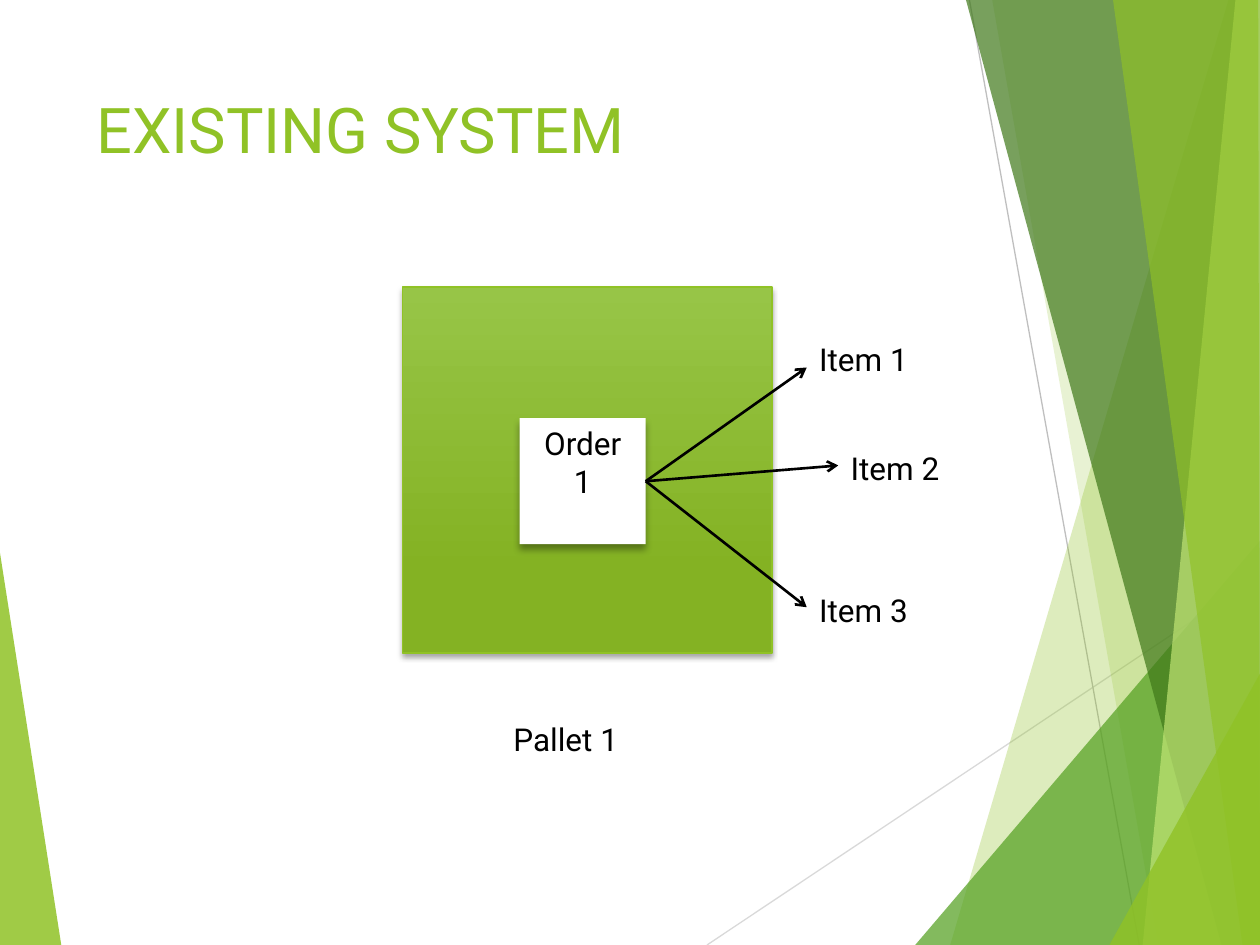
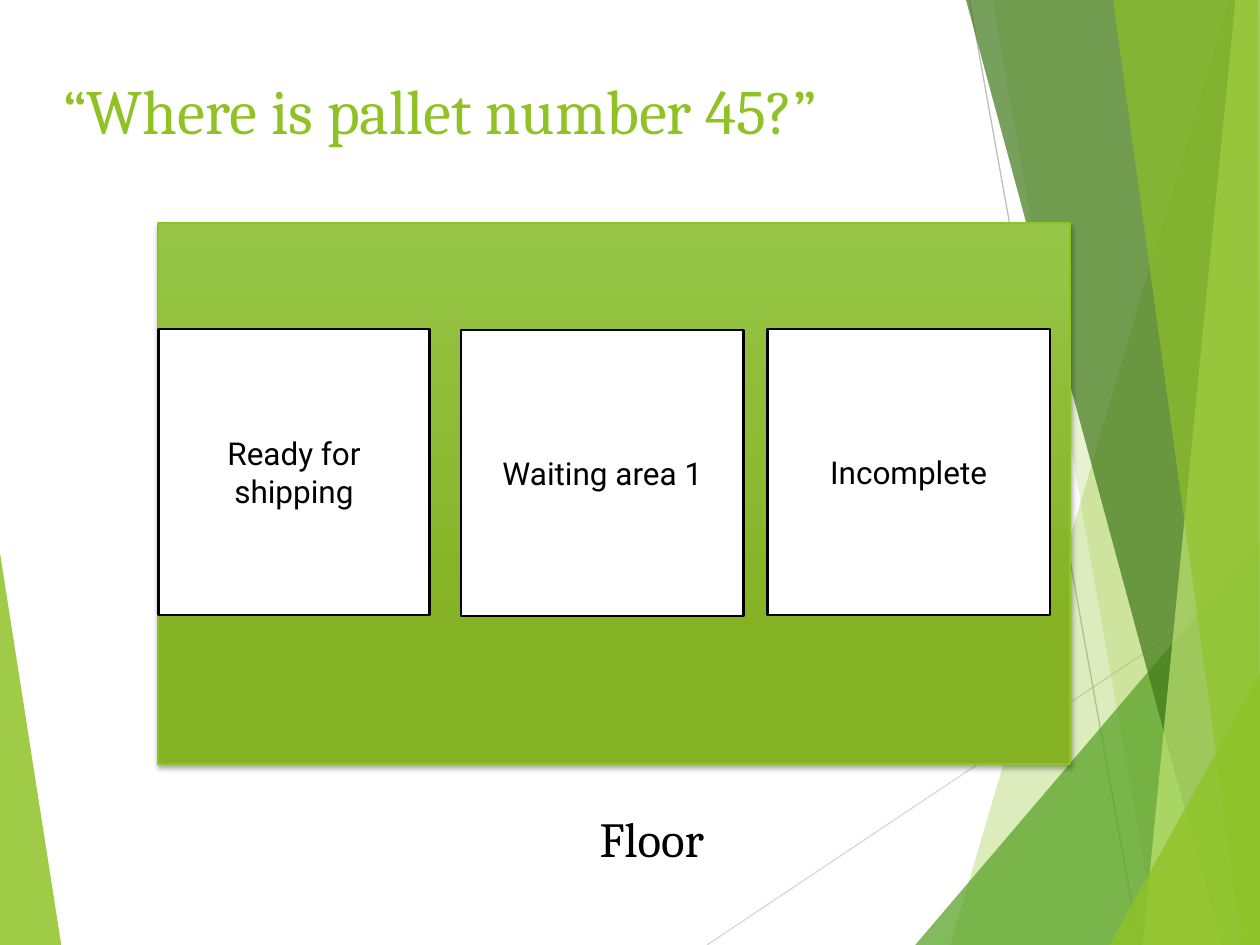
from dataclasses import dataclass

from lxml.etree import SubElement
from pptx import Presentation
from pptx.dml.color import RGBColor
from pptx.enum.shapes import MSO_CONNECTOR, MSO_SHAPE
from pptx.enum.text import MSO_ANCHOR, PP_ALIGN
from pptx.oxml.ns import qn
from pptx.util import Pt


@dataclass(frozen=True)
class Theme:
    lime: str = "90C226"
    green: str = "54A021"
    forest: str = "3F7819"
    pale: str = "C0E474"
    top: str = "97C547"
    base: str = "84B223"
    black: str = "000000"
    white: str = "FFFFFF"
    silver: str = "D9D9D9"
    gray: str = "BFBFBF"
    sans: str = "Roboto"
    serif: str = "Cambria"
    title: int = 36
    large: int = 28
    body: int = 18


THEME = Theme()
WIDE, HIGH = 720, 540

# Background facets: colour, opacity in percent, corners
FACETS = [
    (THEME.lime, 85, [(0, 316), (35, HIGH), (0, HIGH)]),
    (THEME.lime, 30, [(702, 0), (543, HIGH), (WIDE, HIGH), (WIDE, 0)]),
    (THEME.lime, 20, [(567, 0), (662, HIGH), (WIDE, HIGH), (WIDE, 0)]),
    (THEME.green, 72, [(523, HIGH), (WIDE, 309), (WIDE, HIGH)]),
    (THEME.forest, 70, [(552, 0), (698, HIGH), (WIDE, HIGH), (WIDE, 0)]),
    (THEME.pale, 70, [(706, 0), (653, HIGH), (WIDE, HIGH), (WIDE, 0)]),
    (THEME.lime, 65, [(636, 0), (710, HIGH), (WIDE, HIGH), (719, 0)]),
    (THEME.lime, 80, [(634, HIGH), (WIDE, 385), (WIDE, HIGH)]),
]


def color(code):
    return RGBColor.from_string(code)


class Deck:
    def __init__(self, theme):
        self.theme = theme
        self.file = Presentation()
        self.file.slide_width, self.file.slide_height = Pt(WIDE), Pt(HIGH)
        self.slide = None

    def start(self):
        """Add a slide with the shared background."""
        self.slide = self.file.slides.add_slide(self.file.slide_layouts[6])
        self.facet(*FACETS[0])
        self.line((404, HIGH), (WIDE, 329), self.theme.silver, 0.75)
        self.line((554, 0), (651, HIGH), self.theme.gray, 0.75)
        for facet in FACETS[1:]:
            self.facet(*facet)

    def facet(self, code, alpha, points):
        first, *rest = [(Pt(x), Pt(y)) for x, y in points]
        pen = self.slide.shapes.build_freeform(*first)
        pen.add_line_segments(rest)
        shape = pen.convert_to_shape()
        shape.shadow.inherit = False
        shape.fill.solid()
        shape.fill.fore_color.rgb = color(code)
        shape.line.fill.background()
        tint = shape.element.spPr.find(qn("a:solidFill")).find(qn("a:srgbClr"))
        SubElement(tint, qn("a:alpha"), val=str(alpha * 1000))

    def line(self, start, end, code, width):
        link = self.slide.shapes.add_connector(
            MSO_CONNECTOR.STRAIGHT, *map(Pt, start + end))
        link.line.color.rgb = color(code)
        link.line.width = Pt(width)
        SubElement(link.element.spPr, qn("a:effectLst"))
        return link

    def arrow(self, box, end):
        """Draw an arrow from the middle of the box's right side."""
        link = self.line(end, end, self.theme.black, 1.5)
        link.begin_connect(box, 3)
        SubElement(link.element.spPr.find(qn("a:ln")), qn("a:tailEnd"), type="arrow")

    def box(self, left, top, width, height, edge=None, weight=1.5):
        shape = self.slide.shapes.add_shape(
            MSO_SHAPE.RECTANGLE, *map(Pt, (left, top, width, height)))
        shape.shadow.inherit = False
        shape.fill.solid()
        shape.fill.fore_color.rgb = color(self.theme.white)
        if edge:
            shape.line.color.rgb = color(edge)
            shape.line.width = Pt(weight)
        else:
            shape.line.fill.background()
        return shape

    def panel(self, *place):
        """Add a green gradient box with a shadow."""
        shape = self.box(*place, edge=self.theme.lime, weight=1)
        shape.fill.gradient()
        shape.fill.gradient_angle = 270
        stops = zip(shape.fill.gradient_stops, (0, 0.78),
                    (self.theme.top, self.theme.base))
        for stop, spot, code in stops:
            stop.position = spot
            stop.color.rgb = color(code)
        self.shade(shape, 3, 2)

    def shade(self, shape, blur, drop):
        """Cast a soft shadow straight down."""
        effects = shape.element.spPr.find(qn("a:effectLst"))
        cast = SubElement(effects, qn("a:outerShdw"), blurRad=str(Pt(blur)),
                          dist=str(Pt(drop)), dir="5400000", rotWithShape="0")
        tint = SubElement(cast, qn("a:srgbClr"), val=self.theme.black)
        SubElement(tint, qn("a:alpha"), val="35000")

    def fill(self, shape, text, size=THEME.body, font=THEME.sans,
             code=THEME.black, align=PP_ALIGN.CENTER, anchor=MSO_ANCHOR.MIDDLE):
        """Put styled text into a shape."""
        frame = shape.text_frame
        frame.text = text
        frame.word_wrap = True
        frame.vertical_anchor = anchor
        para = frame.paragraphs[0]
        para.alignment = align
        for run in para.runs:
            run.font.size = Pt(size)
            run.font.name = font
            run.font.color.rgb = color(code)

    def label(self, text, place, **style):
        shape = self.slide.shapes.add_textbox(*map(Pt, place))
        self.fill(shape, text, anchor=MSO_ANCHOR.TOP, **style)

    def title(self, text, place, font):
        self.label(text, place, size=self.theme.title, font=font,
                   code=self.theme.lime, align=PP_ALIGN.LEFT)


def system(deck):
    deck.start()
    deck.panel(230, 164, 211, 209)
    deck.label("Pallet 1", (268.5, 408, 109.5, 30))
    order = deck.box(297, 239, 72, 72)
    deck.shade(order, 4, 3)
    deck.fill(order, "Order 1", anchor=MSO_ANCHOR.TOP)
    items = [("Item 1", 461, 210, 191), ("Item 2", 479, 266, 253),
             ("Item 3", 461, 347, 334)]
    for name, left, tip, top in items:
        deck.arrow(order, (left, tip))
        deck.label(name, (left, top, 94, 30), align=PP_ALIGN.LEFT)
    deck.title("EXISTING SYSTEM", (48, 48, 500, 104), deck.theme.sans)


def search(deck):
    deck.start()
    deck.title("“Where is pallet number 45?”", (29, 37.5, 648, 90), deck.theme.serif)
    deck.panel(90.5, 127.5, 521, 309)
    deck.label("Floor", (294.5, 458.5, 156, 63),
               size=deck.theme.large, font=deck.theme.serif)
    areas = [("Ready for shipping", 90.5, 188, 155),
             ("Waiting area 1", 263.5, 188.5, 161.5),
             ("Incomplete", 438.5, 188, 161.5)]
    for name, left, top, width in areas:
        area = deck.box(left, top, width, 163.5, edge=deck.theme.black)
        deck.fill(area, name)


def main():
    deck = Deck(THEME)
    system(deck)
    search(deck)
    deck.file.save("out.pptx")


if __name__ == "__main__":
    main()
